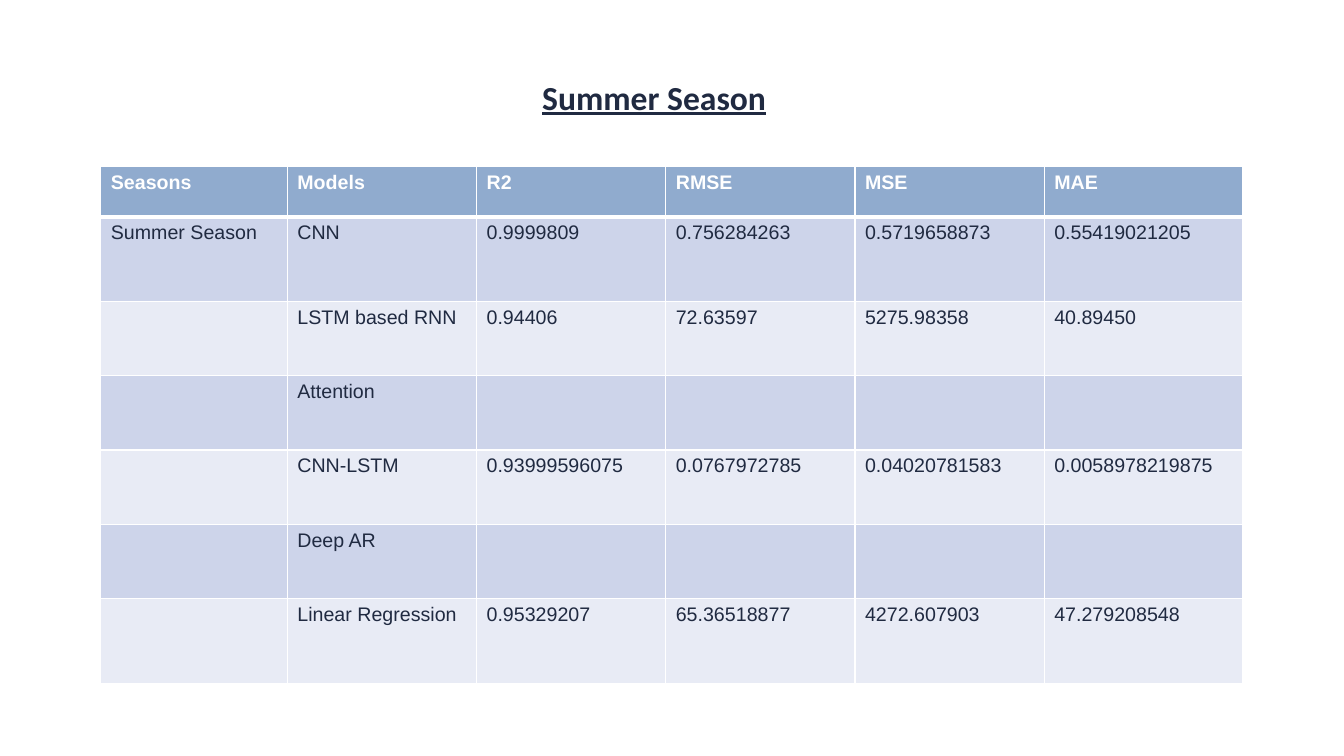
"""Build the slide comparing forecasting models for the summer season."""
from lxml import etree
from pptx import Presentation
from pptx.dml.color import RGBColor
from pptx.enum import text
from pptx.oxml import ns
from pptx.util import Cm, Pt

TITLE = "Summer Season"
HEADINGS = ("Seasons", "Models", "R2", "RMSE", "MSE", "MAE")
RESULTS = (
    ("Summer Season", "CNN", "0.9999809", "0.756284263", "0.5719658873", "0.55419021205"),
    ("", "LSTM based RNN", "0.94406", "72.63597", "5275.98358", "40.89450"),
    ("", "Attention", "", "", "", ""),
    ("", "CNN-LSTM", "0.93999596075", "0.0767972785", "0.04020781583", "0.0058978219875"),
    ("", "Deep AR", "", "", "", ""),
    ("", "Linear Regression", "0.95329207", "65.36518877", "4272.607903", "47.279208548"),
)
COLUMN_WIDTHS = (4.7, 4.77, 4.77, 4.77, 4.77, 5)
ROW_HEIGHTS = (1.27, 2.14, 1.87, 1.87, 1.87, 1.87, 2.14)

WHITE = RGBColor(0xFF, 0xFF, 0xFF)
NAVY = RGBColor(0x20, 0x2A, 0x41)
HEADER_BLUE = RGBColor(0x90, 0xAB, 0xCE)
BANDS = (RGBColor(0xE8, 0xEB, 0xF5), RGBColor(0xCD, 0xD4, 0xEA))


def style_font(font, name, size, color, bold):
    font.name, font.size, font.bold = name, Pt(size), bold
    font.color.rgb = color


def add_border(cell, side, width):
    properties = cell._tc.get_or_add_tcPr()
    line = etree.SubElement(properties, ns.qn(f"a:ln{side}"), w=str(Pt(width)))
    fill = etree.SubElement(line, ns.qn("a:solidFill"))
    etree.SubElement(fill, ns.qn("a:srgbClr"), val=str(WHITE))


def add_title(page):
    title = page.shapes.title
    title.left, title.top, title.width, title.height = Cm(13.41), Cm(1.8), Cm(7.04), Cm(1.27)
    frame = title.text_frame
    frame.text = TITLE
    frame.vertical_anchor = text.MSO_ANCHOR.TOP
    frame.auto_size = text.MSO_AUTO_SIZE.NONE
    para = frame.paragraphs[0]
    para.alignment = text.PP_ALIGN.LEFT
    style_font(para.font, "Calibri", 24, NAVY, True)
    para.font.underline = True


def add_results(page):
    rows = (HEADINGS, *RESULTS)
    table = page.shapes.add_table(
        len(rows), len(HEADINGS), Cm(2.54), Cm(4.19),
        Cm(sum(COLUMN_WIDTHS)), Cm(sum(ROW_HEIGHTS))).table
    for column, width in zip(table.columns, COLUMN_WIDTHS):
        column.width = Cm(width)
    for number, (values, height) in enumerate(zip(rows, ROW_HEIGHTS)):
        table.rows[number].height = Cm(height)
        header = number == 0
        borders = {"L": 1, "R": 1, "T": 3 if number == 1 else 1, "B": 3 if header else 1}
        for cell, value in zip(table.rows[number].cells, values):
            for side, width in borders.items():
                add_border(cell, side, width)
            cell.fill.solid()
            cell.fill.fore_color.rgb = HEADER_BLUE if header else BANDS[number % 2]
            cell.text = value
            style_font(cell.text_frame.paragraphs[0].font, "Arial", 14,
                       WHITE if header else NAVY, header)


def main():
    deck = Presentation()
    deck.slide_width, deck.slide_height = Cm(33.87), Cm(19.05)
    page = deck.slides.add_slide(deck.slide_layouts.get_by_name("Title Only"))
    add_title(page)
    add_results(page)
    deck.save("out.pptx")


if __name__ == "__main__":
    main()
